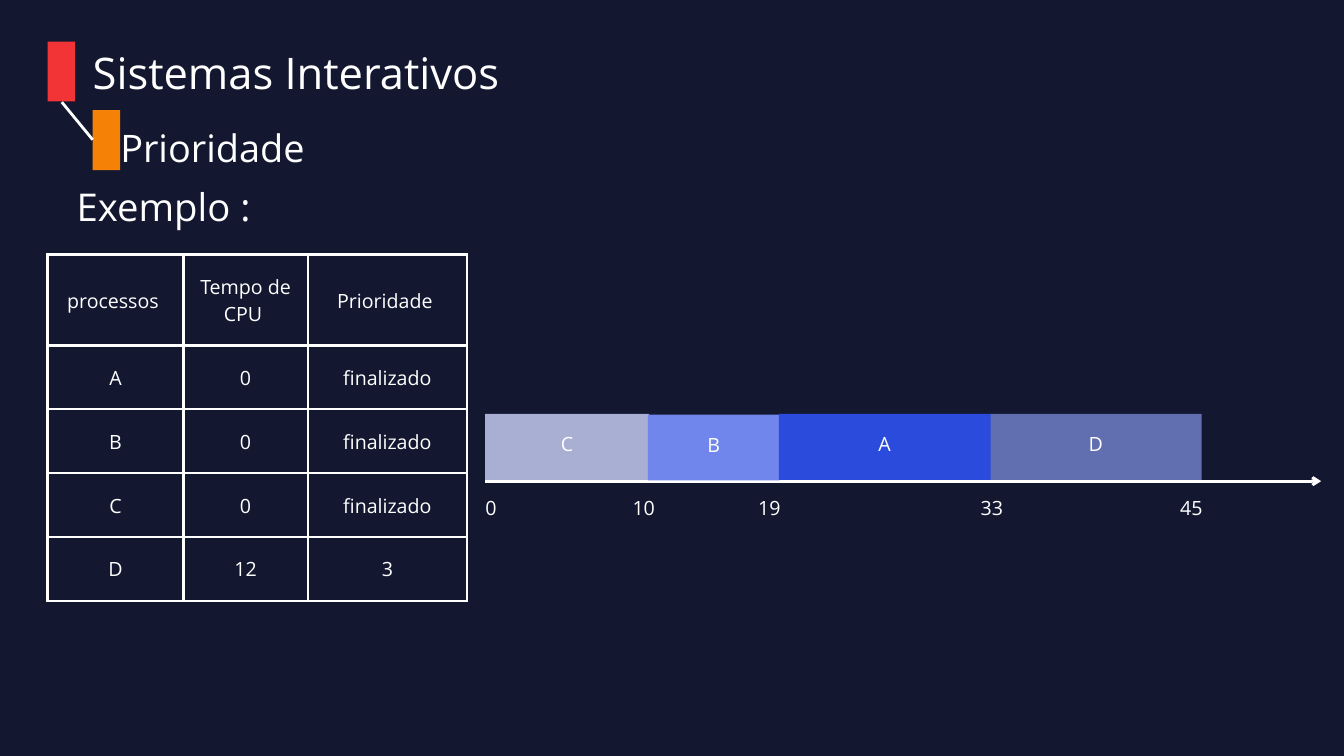
from dataclasses import dataclass

from lxml import etree
from pptx import Presentation
from pptx.dml.color import RGBColor
from pptx.enum.shapes import MSO_CONNECTOR, MSO_SHAPE
from pptx.enum.text import MSO_ANCHOR, MSO_AUTO_SIZE, PP_ALIGN
from pptx.oxml.ns import qn
from pptx.util import Inches, Pt

RECTANGLE = MSO_SHAPE.RECTANGLE
STRAIGHT = MSO_CONNECTOR.STRAIGHT
LEFT, CENTER = PP_ALIGN.LEFT, PP_ALIGN.CENTER
TOP, MIDDLE = MSO_ANCHOR.TOP, MSO_ANCHOR.MIDDLE
NO_AUTOFIT = MSO_AUTO_SIZE.NONE
TITLE_ONLY = 5


@dataclass(frozen=True)
class Theme:
    font: str = "Open Sans"
    background: str = "131830"
    ink: str = "FFFFFF"
    red: str = "F23436"
    orange: str = "F68107"
    process_a: str = "2B4BDD"
    process_b: str = "7086EC"
    process_c: str = "A8AFD2"
    process_d: str = "616FB0"
    title_size: float = 46.6
    subtitle_size: float = 40.6
    example_size: float = 41
    body_size: float = 21
    body_spacing: float = 29.4
    rule: float = 3


def rgb(code):
    return RGBColor.from_string(code)


class SlideBuilder:
    def __init__(self, slide, theme):
        self.slide, self.shapes, self.theme = slide, slide.shapes, theme
        slide.background.fill.solid()
        slide.background.fill.fore_color.rgb = rgb(theme.background)

    def set_text(self, frame, text, size, spacing, align):
        frame.text = text
        paragraph = frame.paragraphs[0]
        paragraph.alignment = align
        paragraph.line_spacing = Pt(spacing)
        paragraph.space_before = Pt(0)
        font = paragraph.runs[0].font
        font.name, font.size = self.theme.font, Pt(size)
        font.color.rgb = rgb(self.theme.ink)

    def fit(self, frame, anchor=TOP, margins=(0, 0, 0, 0), wrap=True):
        """Set anchor, wrapping and the left, top, right, bottom margins."""
        frame.auto_size = NO_AUTOFIT
        frame.vertical_anchor, frame.word_wrap = anchor, wrap
        (frame.margin_left, frame.margin_top,
         frame.margin_right, frame.margin_bottom) = map(Inches, margins)

    def title(self, text, box, size, spacing):
        placeholder = self.shapes.title
        (placeholder.left, placeholder.top,
         placeholder.width, placeholder.height) = map(Inches, box)
        self.fit(placeholder.text_frame)
        self.set_text(placeholder.text_frame, text, size, spacing, LEFT)

    def text(self, text, box, size, spacing, align=LEFT, wrap=True):
        frame = self.shapes.add_textbox(*map(Inches, box)).text_frame
        self.fit(frame, wrap=wrap)
        self.set_text(frame, text, size, spacing, align)

    def block(self, box, color, label=None):
        block = self.shapes.add_shape(RECTANGLE, *map(Inches, box))
        block.shadow.inherit = False
        block.fill.solid()
        block.fill.fore_color.rgb = rgb(color)
        block.line.fill.background()
        if label:
            self.fit(block.text_frame, MIDDLE, (0.06, 0.06, 0.06, 0.2))
            self.set_text(block.text_frame, label, self.theme.body_size,
                          self.theme.body_spacing, CENTER)

    def line(self, start, end, arrow=False):
        line = self.shapes.add_connector(STRAIGHT, *map(Inches, start + end))
        line.line.color.rgb = rgb(self.theme.ink)
        line.line.width = Pt(self.theme.rule)
        properties = line._element.spPr
        if arrow:
            etree.SubElement(properties.find(qn("a:ln")), qn("a:tailEnd"), type="arrow")
        etree.SubElement(properties, qn("a:effectLst"))

    def cell_borders(self, cell):
        properties = cell._tc.get_or_add_tcPr()
        for side in ("lnL", "lnR", "lnT", "lnB"):
            border = etree.SubElement(properties, qn(f"a:{side}"),
                                      w=str(Pt(self.theme.rule)))
            fill = etree.SubElement(border, qn("a:solidFill"))
            etree.SubElement(fill, qn("a:srgbClr"), val=self.theme.ink)

    def table(self, rows, left, top, widths, heights):
        size = (sum(widths), sum(heights))
        table = self.shapes.add_table(len(rows), len(widths),
                                      *map(Inches, (left, top) + size)).table
        table.first_row = table.horz_banding = False
        for column, width in zip(table.columns, widths):
            column.width = Inches(width)
        for row, height, values in zip(table.rows, heights, rows):
            row.height = Inches(height)
            for cell, value in zip(row.cells, values):
                self.cell_borders(cell)
                cell.fill.background()
                cell.vertical_anchor = MIDDLE
                cell.margin_left = cell.margin_right = Inches(0.21)
                cell.margin_top = cell.margin_bottom = Inches(0.21)
                self.set_text(cell.text_frame, value, self.theme.body_size,
                              self.theme.body_spacing, CENTER)


def add_headings(builder, theme):
    builder.text("Exemplo :", (1.14, 2.62, 4.21, 0.76), theme.example_size, 57.4)
    builder.block((0.71, 0.62, 0.41, 0.89), theme.red)
    builder.title("Sistemas Interativos", (1.38, 0.68, 14.74, 0.78),
                  theme.title_size, 55.9)
    builder.block((1.38, 1.64, 0.41, 0.89), theme.orange)
    builder.text("Prioridade", (1.79, 1.86, 14.74, 0.67), theme.subtitle_size, 48.7)
    builder.line((0.92, 1.52), (1.38, 2.08))


def add_process_table(builder):
    rows = [
        ("processos ", "Tempo de CPU ", "Prioridade "),
        ("A", "0", "finalizado"),
        ("B", "0", "finalizado"),
        ("C", "0", "finalizado"),
        ("D", "12", "3"),
    ]
    builder.table(rows, 0.71, 3.79, (2.02, 1.85, 2.37), (1.35,) + (0.95,) * 4)


def add_timeline(builder, theme):
    builder.line((7.22, 7.16), (19.66, 7.16), arrow=True)
    bars = [
        ("C", 7.22, 6.16, 2.44, theme.process_c),
        ("D", 14.73, 6.16, 3.15, theme.process_d),
        ("B", 9.64, 6.17, 1.96, theme.process_b),
        ("A", 11.59, 6.16, 3.15, theme.process_a),
    ]
    for process, left, top, width, color in bars:
        builder.block((left, top, width, 0.98), color, process)
    instants = [("0", 7.22), ("10", 9.41), ("19", 11.28), ("33", 14.59), ("45", 17.56)]
    for instant, left in instants:
        width = 0.17 * len(instant)
        builder.text(instant, (left, 7.32, width, 0.39), theme.body_size,
                     theme.body_spacing, CENTER, wrap=False)


def main():
    theme = Theme()
    deck = Presentation()
    deck.slide_width, deck.slide_height = Inches(20), Inches(11.25)
    slide = deck.slides.add_slide(deck.slide_layouts[TITLE_ONLY])
    builder = SlideBuilder(slide, theme)
    add_headings(builder, theme)
    add_process_table(builder)
    add_timeline(builder, theme)
    deck.save("out.pptx")


if __name__ == "__main__":
    main()
